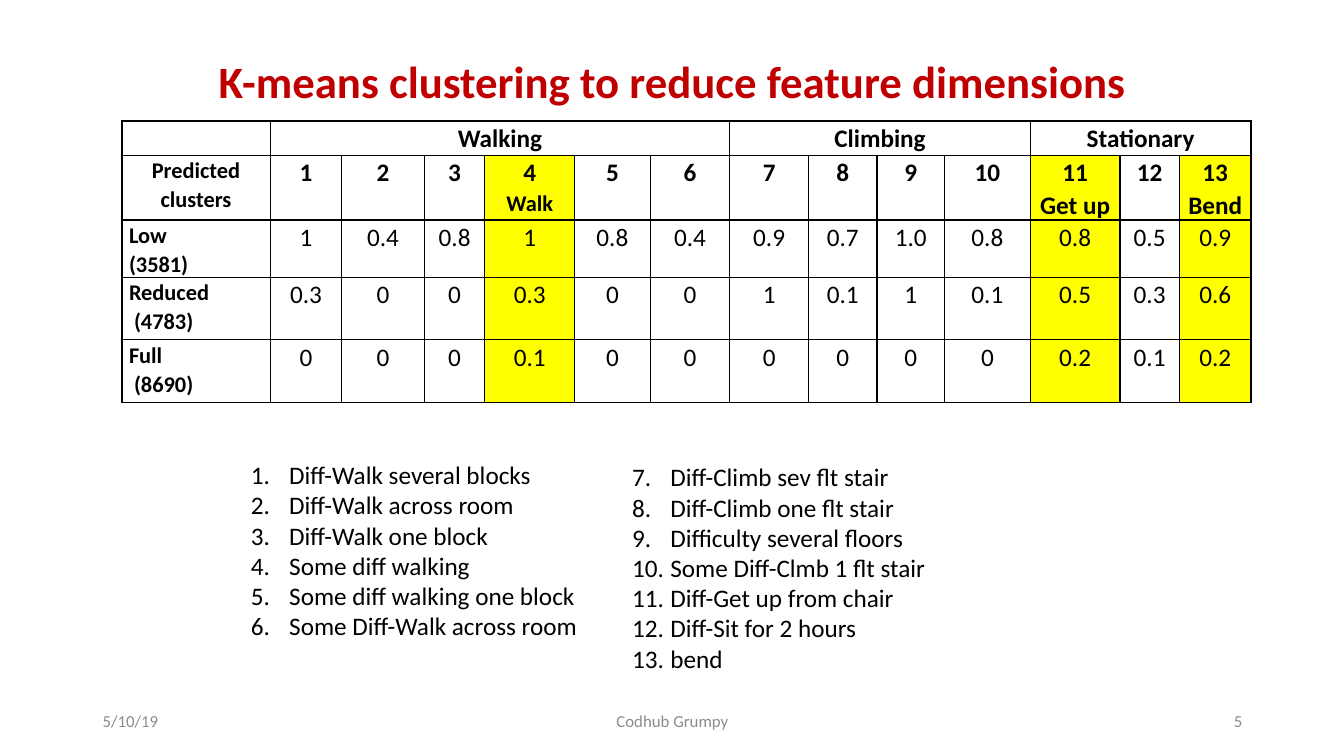
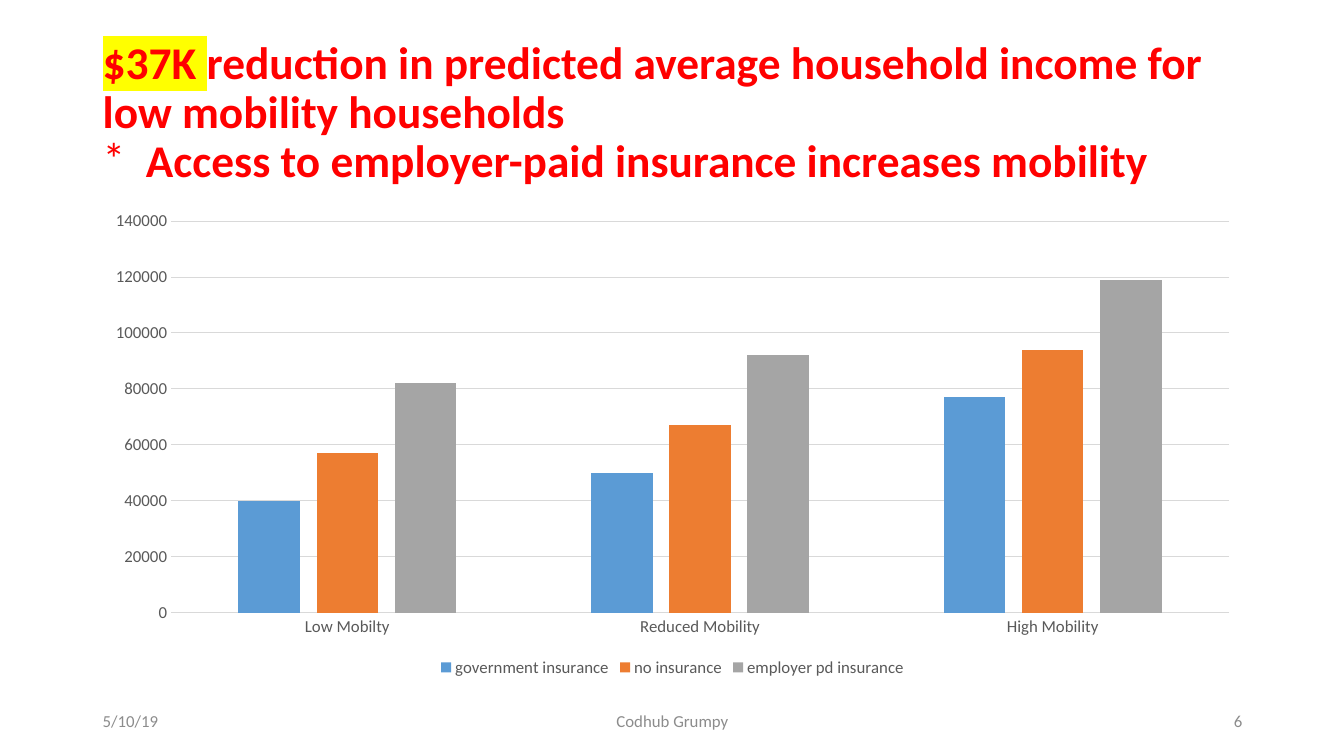
from dataclasses import dataclass

from lxml.etree import SubElement
from pptx import Presentation
from pptx.chart.data import CategoryChartData
from pptx.dml.color import RGBColor
from pptx.enum.chart import XL_CHART_TYPE as ChartType, XL_LEGEND_POSITION as LegendSpot
from pptx.enum.chart import XL_TICK_MARK as TickMark
from pptx.enum.text import MSO_ANCHOR as Anchor, PP_ALIGN as Align
from pptx.oxml.ns import qn
from pptx.util import Inches, Pt

# Content
DATE, FOOTER = "5/10/19", "Codhub Grumpy"
CLUSTER_TITLE = "K-means clustering to reduce feature dimensions"
GROUPS = [("Walking", 6), ("Climbing", 4), ("Stationary", 3)]
CLUSTER_LABELS = {4: "Walk", 11: "Get up", 13: "Bend"}
HEADER = "Predicted\nclusters"
LEVELS = [
    ("Low\n(3581)", "1 0.4 0.8 1 0.8 0.4 0.9 0.7 1.0 0.8 0.8 0.5 0.9"),
    ("Reduced\n (4783)", "0.3 0 0 0.3 0 0 1 0.1 1 0.1 0.5 0.3 0.6"),
    ("Full\n (8690)", "0 0 0 0.1 0 0 0 0 0 0 0.2 0.1 0.2"),
]
WALK_ITEMS = ["Diff-Walk several blocks", "Diff-Walk across room", "Diff-Walk one block",
              "Some diff walking", "Some diff walking one block",
              "Some Diff-Walk across room"]
OTHER_ITEMS = ["Diff-Climb sev flt stair", "Diff-Climb one flt stair",
               "Difficulty several floors", "Some Diff-Clmb 1 flt stair",
               "Diff-Get up from chair", "Diff-Sit for 2 hours", "bend"]
INCOME_LEAD = "$37K "
INCOME_TITLE = "reduction in predicted average household income for low mobility households"
INCOME_POINT = "Access to employer-paid insurance increases mobility"
MOBILITY = ["Low Mobilty", "Reduced Mobility", "High Mobility"]
INCOMES = [
    ("government insurance", (40000, 50000, 77000), "5B9BD5"),
    ("no insurance", (57000, 67000, 94000), "ED7D31"),
    ("employer pd insurance", (82000, 92000, 119000), "A5A5A5"),
]


@dataclass(frozen=True)
class Theme:
    font: str = "Calibri"
    ink: str = "000000"
    paper: str = "FFFFFF"
    mark: str = "FFFF00"
    heading: str = "C00000"
    alert: str = "FF0000"
    footer: str = "8C8C8C"
    label: str = "595959"
    rule: str = "D9D9D9"
    title: float = 32
    long_title: float = 32.4
    body: float = 18
    row_head: float = 16
    small: float = 12


THEME = Theme()

# Grid: 23 columns inside the margins, half an inch each way
UNIT, LEFT, TOP = 0.5, 0.92, 0.4
COLUMNS = 23
TABLE_WIDTHS = [1.47, 0.71, 0.82, 0.6, 0.89, 0.75, 0.79, 0.78, 0.68, 0.67, 0.85,
                0.89, 0.59, 0.71]
TABLE_HEIGHTS = [0.34, 0.64, 0.57, 0.62, 0.62]


def place(column, row, columns, rows):
    return (Inches(LEFT + column * UNIT), Inches(TOP + row * UNIT),
            Inches(columns * UNIT), Inches(rows * UNIT))


# Text helpers
def style(font, size, color, bold=False):
    font.name, font.size, font.bold = THEME.font, Pt(size), bold
    font.color.rgb = RGBColor.from_string(color)


def add_bullet(para, indent, tag, **settings):
    props = para._p.get_or_add_pPr()
    props.set("marL", str(Inches(indent)))
    props.set("indent", str(-Inches(indent)))
    SubElement(props, qn("a:buFont"), typeface=THEME.font)
    SubElement(props, qn(tag), **settings)


def add_box(page, area, anchor=Anchor.TOP):
    frame = page.shapes.add_textbox(*area).text_frame
    frame.word_wrap = True
    frame.vertical_anchor = anchor
    return frame


def add_span(para, text, size, color):
    span = para.add_run()
    span.text = text
    style(span.font, size, color, bold=True)
    return span


def add_title(page, rows):
    frame = add_box(page, place(0, 0, COLUMNS, rows), Anchor.MIDDLE)
    frame.paragraphs[0].line_spacing = 0.9
    return frame


def add_page(deck):
    page = deck.slides.add_slide(deck.slide_layouts[6])
    number = str(4 + len(deck.slides))
    for text, column, columns, align in [(DATE, 0, 6, Align.LEFT),
                                         (FOOTER, 7, 9, Align.CENTER),
                                         (number, 17, 6, Align.RIGHT)]:
        frame = add_box(page, place(column, 13.1, columns, 0.8), Anchor.MIDDLE)
        para = frame.paragraphs[0]
        para.text, para.alignment = text, align
        style(para.font, THEME.small, THEME.footer)
    return page


def add_list(page, area, items, start):
    frame = add_box(page, area)
    for index, item in enumerate(items):
        para = frame.add_paragraph() if index else frame.paragraphs[0]
        para.text = item
        add_bullet(para, 0.38, "a:buAutoNum", type="arabicPeriod", startAt=str(start))
        style(para.font, THEME.body, THEME.ink)


# Table helpers
def fill_cell(cell, text, sizes, bold, align=Align.CENTER, marked=False):
    cell.margin_left = cell.margin_right = Inches(0.07)
    cell.margin_top = cell.margin_bottom = 0
    cell.text = text
    for para, size in zip(cell.text_frame.paragraphs, sizes):
        para.alignment, para.line_spacing = align, 1.07
        style(para.font, size, THEME.ink, bold)
    props = cell._tc.get_or_add_tcPr()
    for side in ("a:lnL", "a:lnR", "a:lnT", "a:lnB"):
        line = SubElement(props, qn(side), w=str(Pt(1)))
        SubElement(SubElement(line, qn("a:solidFill")), qn("a:srgbClr"), val=THEME.ink)
    cell.fill.solid()
    cell.fill.fore_color.rgb = RGBColor.from_string(THEME.mark if marked else THEME.paper)


def add_cluster_table(page):
    area = place(0.58, 1.6, sum(TABLE_WIDTHS) / UNIT, sum(TABLE_HEIGHTS) / UNIT)
    table = page.shapes.add_table(len(TABLE_HEIGHTS), len(TABLE_WIDTHS), *area).table
    table.first_row = table.horz_banding = False
    for column, width in zip(table.columns, TABLE_WIDTHS):
        column.width = Inches(width)
    for row, height in zip(table.rows, TABLE_HEIGHTS):
        row.height = Inches(height)

    # Group headings span their clusters
    body, head = THEME.body, THEME.row_head
    group_row = [""]
    for name, count in GROUPS:
        first = len(group_row)
        group_row += [name] + [""] * (count - 1)
        table.cell(0, first).merge(table.cell(0, first + count - 1))
    for column, text in enumerate(group_row):
        fill_cell(table.cell(0, column), text, [body], True)

    # Cluster numbers
    fill_cell(table.cell(1, 0), HEADER, [head, head], True)
    for cluster in range(1, len(TABLE_WIDTHS)):
        label = CLUSTER_LABELS.get(cluster)
        text = f"{cluster}\n{label}" if label else str(cluster)
        sizes = [body, head if label == "Walk" else body]
        fill_cell(table.cell(1, cluster), text, sizes, True, marked=bool(label))

    # Mobility levels
    for row, (level, values) in enumerate(LEVELS, 2):
        fill_cell(table.cell(row, 0), level, [head, head], True, Align.LEFT)
        for cluster, value in enumerate(values.split(), 1):
            fill_cell(table.cell(row, cluster), value, [body], False,
                      marked=cluster in CLUSTER_LABELS)


# Chart helper
def add_income_chart(page):
    data = CategoryChartData(number_format="General")
    data.categories = MOBILITY
    for name, values, _ in INCOMES:
        data.add_series(name, values)
    chart = page.shapes.add_chart(ChartType.COLUMN_CLUSTERED,
                                  *place(0, 3.2, COLUMNS, 9.52), data).chart
    style(chart.font, THEME.small, THEME.label)
    chart.has_title = False
    chart.has_legend = True
    chart.legend.position = LegendSpot.BOTTOM
    chart.legend.include_in_layout = False
    style(chart.legend.font, THEME.small, THEME.label)

    plot = chart.plots[0]
    plot.gap_width, plot.overlap, plot.vary_by_categories = 219, -27, False
    for series, (_, _, color) in zip(plot.series, INCOMES):
        series.format.fill.solid()
        series.format.fill.fore_color.rgb = RGBColor.from_string(color)

    amounts, levels = chart.value_axis, chart.category_axis
    for axis in (amounts, levels):
        axis.major_tick_mark = axis.minor_tick_mark = TickMark.NONE
        style(axis.tick_labels.font, THEME.small, THEME.label)
    amounts.minimum_scale, amounts.maximum_scale, amounts.major_unit = 0, 140000, 20000
    amounts.format.line.fill.background()
    for line in (amounts.major_gridlines.format.line, levels.format.line):
        line.width = Pt(0.75)
        line.color.rgb = RGBColor.from_string(THEME.rule)


deck = Presentation()
deck.slide_width, deck.slide_height = Inches(13.33), Inches(7.5)

# Cluster slide
page = add_page(deck)
para = add_title(page, 1.72).paragraphs[0]
para.alignment = Align.CENTER
add_span(para, CLUSTER_TITLE, THEME.title, THEME.heading)
add_cluster_table(page)
add_list(page, place(2.94, 8.22, 7.56, 4.44), WALK_ITEMS, 1)
add_list(page, place(10.5, 8.26, 7.18, 5.04), OTHER_ITEMS, len(WALK_ITEMS) + 1)

# Income slide
page = add_page(deck)
frame = add_title(page, 2.9)
para = frame.paragraphs[0]
lead = add_span(para, INCOME_LEAD, THEME.long_title, THEME.alert)
highlight = SubElement(lead.font._element, qn("a:highlight"))
SubElement(highlight, qn("a:srgbClr"), val=THEME.mark)
lead.font._element.find(qn("a:solidFill")).addnext(highlight)
add_span(para, INCOME_TITLE, THEME.long_title, THEME.alert)
point = frame.add_paragraph()
point.line_spacing = 0.9
add_bullet(point, 0.43, "a:buChar", char="*")
add_span(point, INCOME_POINT, THEME.long_title, THEME.alert)
add_income_chart(page)

deck.save("out.pptx")
